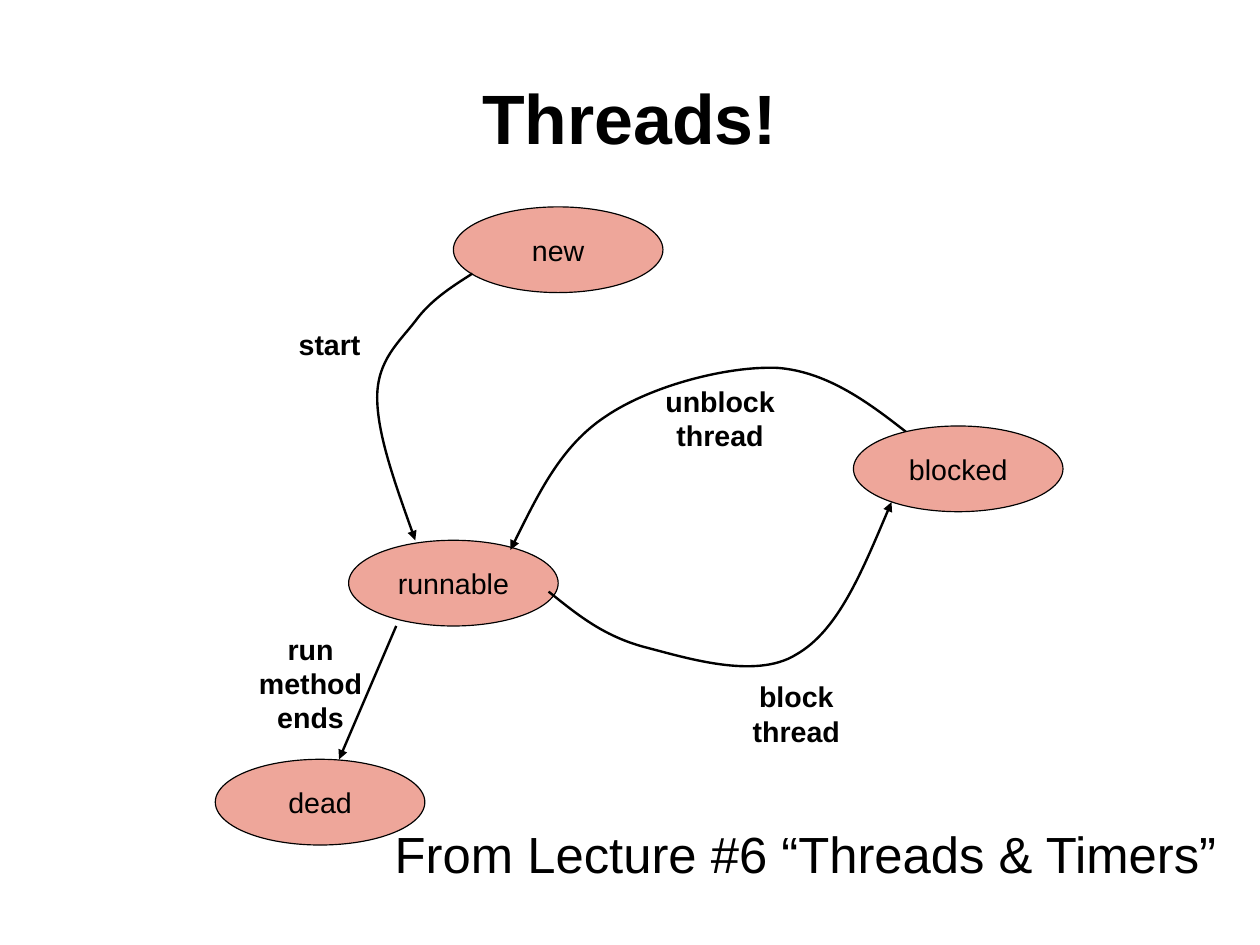
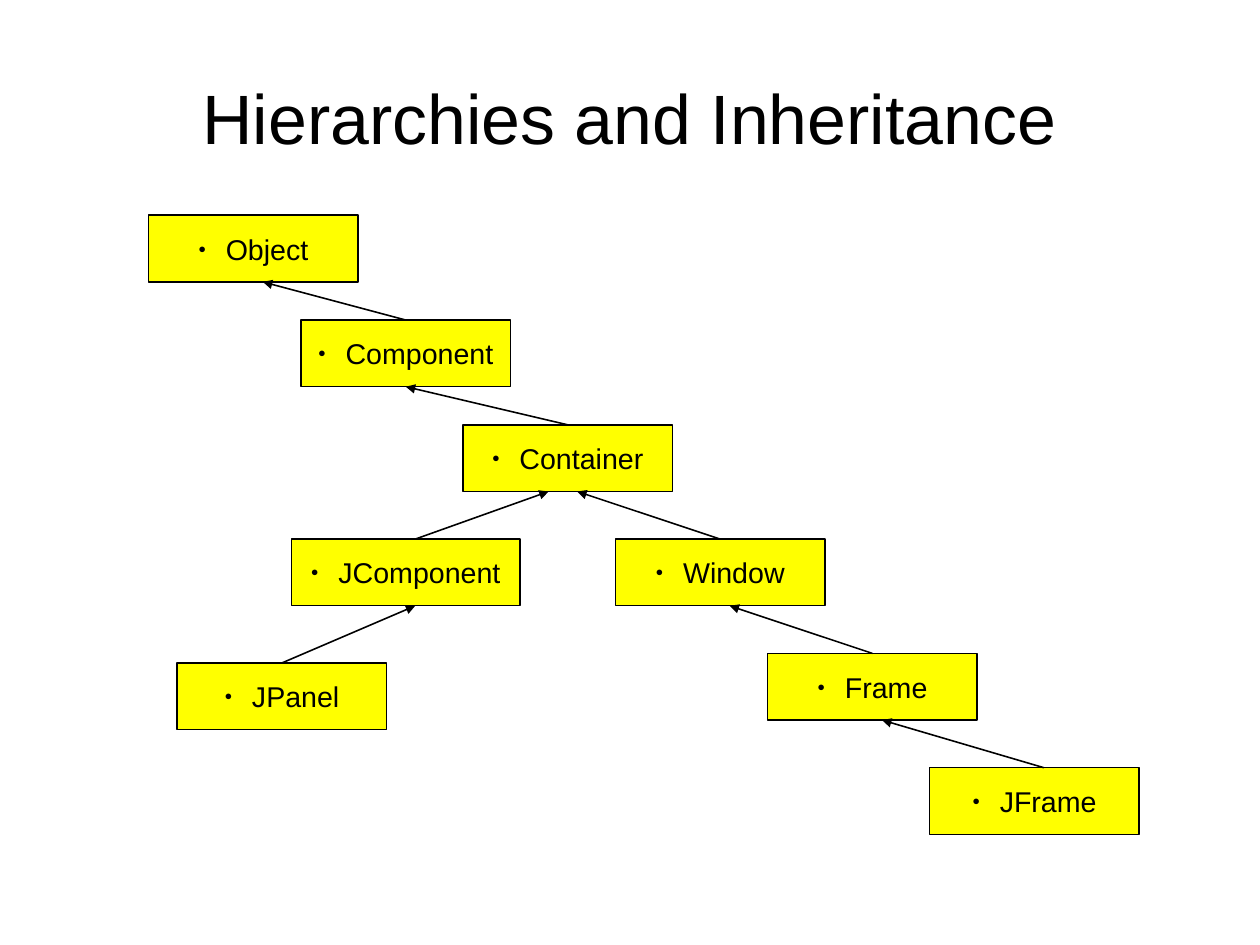
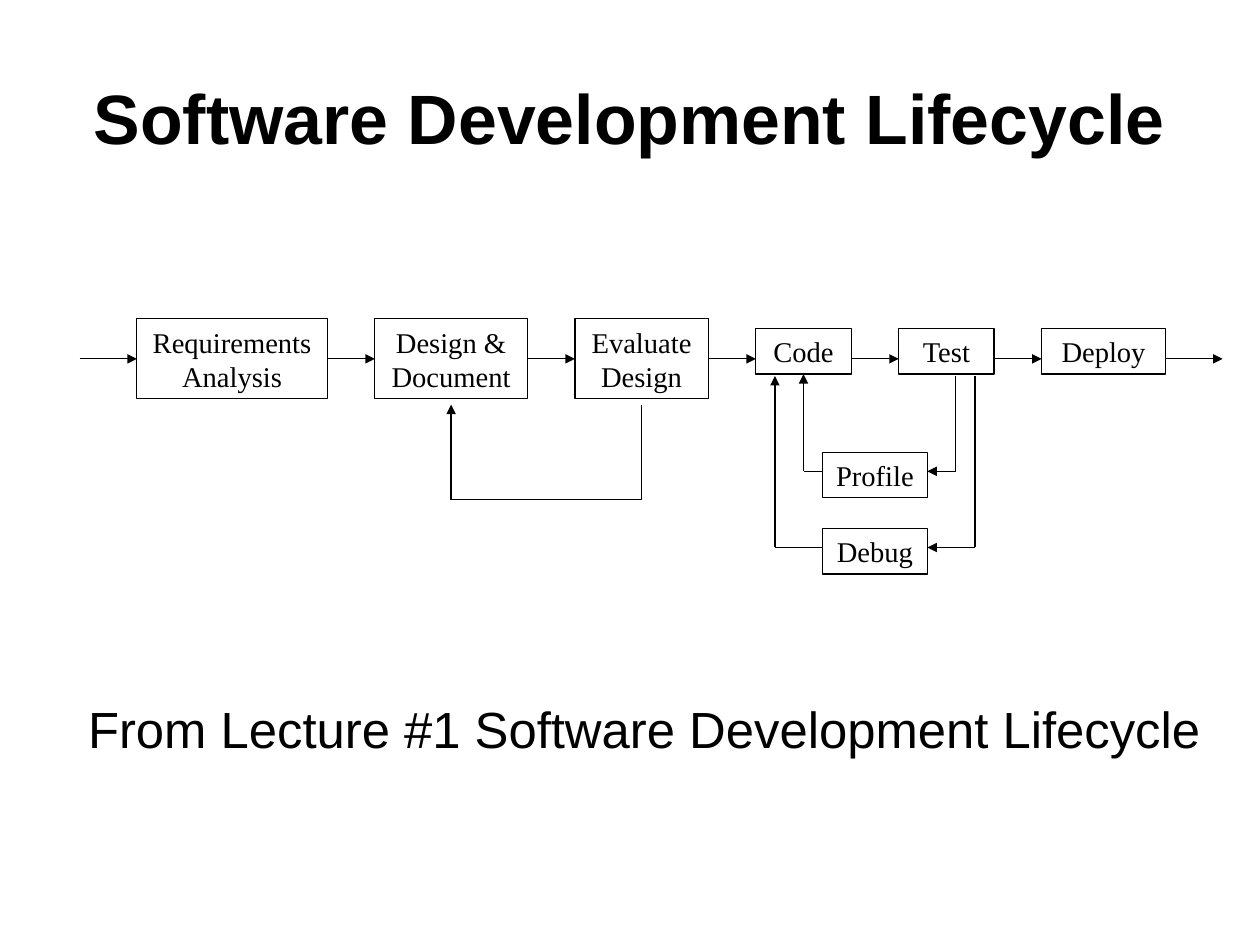
from dataclasses import dataclass
from itertools import pairwise

from lxml import etree
from pptx import Presentation
from pptx.dml.color import RGBColor
from pptx.enum.shapes import MSO_CONNECTOR, MSO_SHAPE
from pptx.enum.text import MSO_ANCHOR, MSO_AUTO_SIZE, PP_ALIGN
from pptx.oxml.ns import qn
from pptx.util import Cm, Inches, Pt

STRAIGHT = MSO_CONNECTOR.STRAIGHT
OVAL, RECTANGLE = MSO_SHAPE.OVAL, MSO_SHAPE.RECTANGLE
TOP, MIDDLE = MSO_ANCHOR.TOP, MSO_ANCHOR.MIDDLE
LEFT, CENTER = PP_ALIGN.LEFT, PP_ALIGN.CENTER
FIXED = MSO_AUTO_SIZE.NONE


@dataclass(frozen=True)
class Theme:
    ink = RGBColor.from_string("000000")
    state = RGBColor.from_string("EEA69A")
    type_box = RGBColor.from_string("FFFF00")
    sans = "Arial"
    serif = "Times New Roman"
    title = Pt(44)
    credit = Pt(32)
    label = Pt(18)
    thin = Pt(0.75)
    medium = Pt(1)
    thick = Pt(1.5)


theme = Theme()
CELL = Inches(1) / 12


def write(frame, text, size, face=theme.sans, bold=False, align=CENTER, anchor=TOP, wrap=True):
    frame.auto_size = FIXED
    frame.word_wrap = wrap
    frame.vertical_anchor = anchor
    paragraph = frame.paragraphs[0]
    paragraph.alignment = align
    run = paragraph.add_run()
    run.text = text
    run.font.size = size
    run.font.name = face
    run.font.bold = bold
    run.font.color.rgb = theme.ink
    return paragraph


def finish_line(line, weight, arrow=True):
    line.line.color.rgb = theme.ink
    line.line.width = weight
    properties = line._element.spPr
    if arrow:
        etree.SubElement(properties.find(qn("a:ln")), qn("a:tailEnd"), type="triangle")
    etree.SubElement(properties, qn("a:effectLst"))


prs = Presentation()
prs.slide_width = Cm(28)
prs.slide_height = Cm(21)
W, H = prs.slide_width, prs.slide_height
WITH_CREDIT, TITLE_ONLY = prs.slide_layouts[1], prs.slide_layouts[5]

slides = []
for title, bold, credit, credit_col, credit_row in [
    ("Threads!", True, "From Lecture #6 “Threads & Timers”", 35.8, 86.4),
    ("Hierarchies and Inheritance", False, None, 0, 0),
    ("Software Development Lifecycle", True,
     "From Lecture #1 Software Development Lifecycle", 3.6, 73.3),
]:
    slide = prs.slides.add_slide(WITH_CREDIT if credit else TITLE_ONLY)
    slides.append(slide)
    heading = slide.shapes.title
    heading.left, heading.top = int(W * 0.05), int(H * 0.04)
    heading.width, heading.height = int(W * 0.9), int(H / 6)
    write(heading.text_frame, title, theme.title, bold=bold, anchor=MIDDLE)
    framed = [heading]
    if credit:
        source = slide.placeholders[1]
        source.left, source.top = int(credit_col * CELL), int(credit_row * CELL)
        source.width, source.height = W - source.left, H - source.top
        paragraph = write(source.text_frame, credit, theme.credit, align=LEFT)
        paragraph.space_before = Pt(0)
        paragraph.space_after = Pt(14.2)
        indents = paragraph._p.get_or_add_pPr()
        indents.set("marL", str(Inches(0.47)))
        indents.set("indent", "0")
        etree.SubElement(indents, qn("a:buNone"))
        framed.append(source)
    for holder in framed:
        frame = holder.text_frame
        frame.margin_left = frame.margin_right = frame.margin_top = frame.margin_bottom = 0

threads, hierarchy, lifecycle = slides

diagrams = [
    dict(
        slide=threads, origin=(0.05, 0.06), outline=OVAL, fill=theme.state,
        box_line=theme.thin, route_line=theme.thick, face=theme.sans,
        anchor=MIDDLE, wrap=False, bullet=False,
        boxes=[(state, col, row, 22, 9) for state, col, row in [
            ("dead", 22, 79), ("runnable", 36, 56), ("new", 47, 21), ("blocked", 89, 44)]],
        routes=[[(41, 65), (35, 79)]],
    ),
    dict(
        slide=hierarchy, origin=(0.05, 0.05), outline=RECTANGLE, fill=theme.type_box,
        box_line=theme.medium, route_line=theme.medium, face=theme.sans,
        anchor=MIDDLE, wrap=False, bullet=True,
        boxes=[(name, col, row, width, 7) for name, col, row, width in [
            ("Object", 15, 22, 22), ("Component", 31, 33, 22), ("Container", 48, 44, 22),
            ("Window", 64, 56, 22), ("Frame", 80, 68, 22), ("JFrame", 97, 80, 22),
            ("JComponent", 30, 56, 24), ("JPanel", 18, 69, 22)]],
        routes=[
            [(42, 33), (27, 29)], [(59, 44), (42, 40)], [(75, 56), (60, 51)],
            [(91, 68), (76, 63)], [(109, 80), (92, 75)], [(43, 56), (57, 51)],
            [(29, 69), (43, 63)]],
    ),
    dict(
        slide=lifecycle, origin=(0.03, 0.04), outline=RECTANGLE, fill=None,
        box_line=theme.thin, route_line=theme.thin, face=theme.serif,
        anchor=TOP, wrap=True, bullet=False,
        boxes=[
            ("Requirements Analysis", 14, 33, 20, 8.4),
            ("Design & Document", 39, 33, 16, 8.4),
            ("Evaluate Design", 60, 33, 14, 8.4),
            ("Code", 79, 34, 10, 4.8), ("Test", 94, 34, 10, 4.8),
            ("Deploy", 109, 34, 13, 4.8),
            ("Profile", 86, 47, 11, 4.8), ("Debug", 86, 55, 11, 4.8)],
        routes=[[(start, 37.2), (end, 37.2)] for start, end in [
            (8, 14), (34, 39), (55, 60), (74, 79), (89, 94), (104, 109), (122, 128)]] + [
            [(100, 39), (100, 49), (97, 49)], [(86, 49), (84, 49), (84, 39)],
            [(102, 39), (102, 57), (97, 57)], [(86, 57), (81, 57), (81, 39)],
            [(67, 42), (67, 52), (47, 52), (47, 42)]],
    ),
]

for diagram in diagrams:
    shapes = diagram["slide"].shapes
    x0, y0 = (Inches(offset) for offset in diagram["origin"])
    drawn = {}
    joints = []
    for text, col, row, cols, rows in diagram["boxes"]:
        box = shapes.add_shape(
            diagram["outline"], int(x0 + col * CELL), int(y0 + row * CELL),
            int(cols * CELL), int(rows * CELL))
        drawn[text] = box
        box.shadow.inherit = False
        if diagram["fill"] is None:
            box.fill.background()
        else:
            box.fill.solid()
            box.fill.fore_color.rgb = diagram["fill"]
        box.line.color.rgb = theme.ink
        box.line.width = diagram["box_line"]
        paragraph = write(box.text_frame, text, theme.label, diagram["face"],
                          anchor=diagram["anchor"], wrap=diagram["wrap"])
        if diagram["bullet"]:
            indents = paragraph._p.get_or_add_pPr()
            indents.set("marL", str(Inches(0.24)))
            indents.set("indent", str(-Inches(0.24)))
            bullet_color = etree.SubElement(indents, qn("a:buClr"))
            etree.SubElement(bullet_color, qn("a:srgbClr"), val=str(theme.ink))
            etree.SubElement(indents, qn("a:buSzPct"), val="45000")
            etree.SubElement(indents, qn("a:buFont"), typeface=theme.sans)
            etree.SubElement(indents, qn("a:buChar"), char="●")
        if diagram["outline"] == RECTANGLE:
            middles = [(col + cols / 2, row), (col, row + rows / 2),
                       (col + cols / 2, row + rows), (col + cols, row + rows / 2)]
            joints += [(box, side, x, y) for side, (x, y) in enumerate(middles)]
    diagram["drawn"] = drawn
    for route in diagram["routes"]:
        for start, end in pairwise(route):
            leg = shapes.add_connector(
                STRAIGHT, int(x0 + start[0] * CELL), int(y0 + start[1] * CELL),
                int(x0 + end[0] * CELL), int(y0 + end[1] * CELL))
            for (col, row), join in [(start, leg.begin_connect), (end, leg.end_connect)]:
                for box, side, x, y in joints:
                    if max(abs(x - col), abs(y - row)) < 0.25:
                        join(box, side)
            finish_line(leg, diagram["route_line"], arrow=end == route[-1])

x0, y0 = (Inches(offset) for offset in diagrams[0]["origin"])
blocked = diagrams[0]["drawn"]["blocked"]
transitions = [
    (True, [(49, 28), (46.8, 29.4), (44.6, 30.8), (43, 33), (41.3, 35.2), (39, 37.1),
            (39, 41), (39, 44.8), (41, 50.4), (43, 56)]),
    (True, [(95, 45), (90.7, 41.6), (86.3, 38.3), (81, 37.9), (75.7, 37.7), (67.7, 39.8),
            (63, 43), (58.3, 46.1), (55.7, 51.6), (53, 57)]),
    (False, [(57, 61.4), (59.9, 63.7), (62.6, 66), (67, 67.2), (71.3, 68.3), (78.7, 70.7),
             (83, 68), (87.4, 65.5), (90.1, 58.8), (93, 52)]),
]
for behind_blocked, transition in transitions:
    points = [(x0 + col * CELL, y0 + row * CELL) for col, row in transition]
    builder = threads.shapes.build_freeform(*points[0])
    builder.add_line_segments(points[1:], close=False)
    curve = builder.convert_to_shape()
    curve.fill.background()
    outline = curve._element.spPr.find(".//" + qn("a:path"))
    segments = outline.findall(qn("a:lnTo"))
    for first in range(0, len(segments), 3):
        bezier = etree.SubElement(outline, qn("a:cubicBezTo"))
        for segment in segments[first:first + 3]:
            bezier.append(segment[0])
            outline.remove(segment)
    finish_line(curve, theme.thick)
    if behind_blocked:
        blocked._element.addprevious(curve._element)

for action, col, row, cols, rows in [
    ("start", 27, 33, 14, 4.8),
    ("unblock thread", 67, 39, 16, 8.4),
    ("block thread", 75, 70, 16, 8.4),
    ("run method ends", 24, 65, 16, 12),
]:
    label = threads.shapes.add_textbox(
        int(x0 + col * CELL), int(y0 + row * CELL), int(cols * CELL), int(rows * CELL))
    write(label.text_frame, action, theme.label, bold=True)

prs.save("out.pptx")
